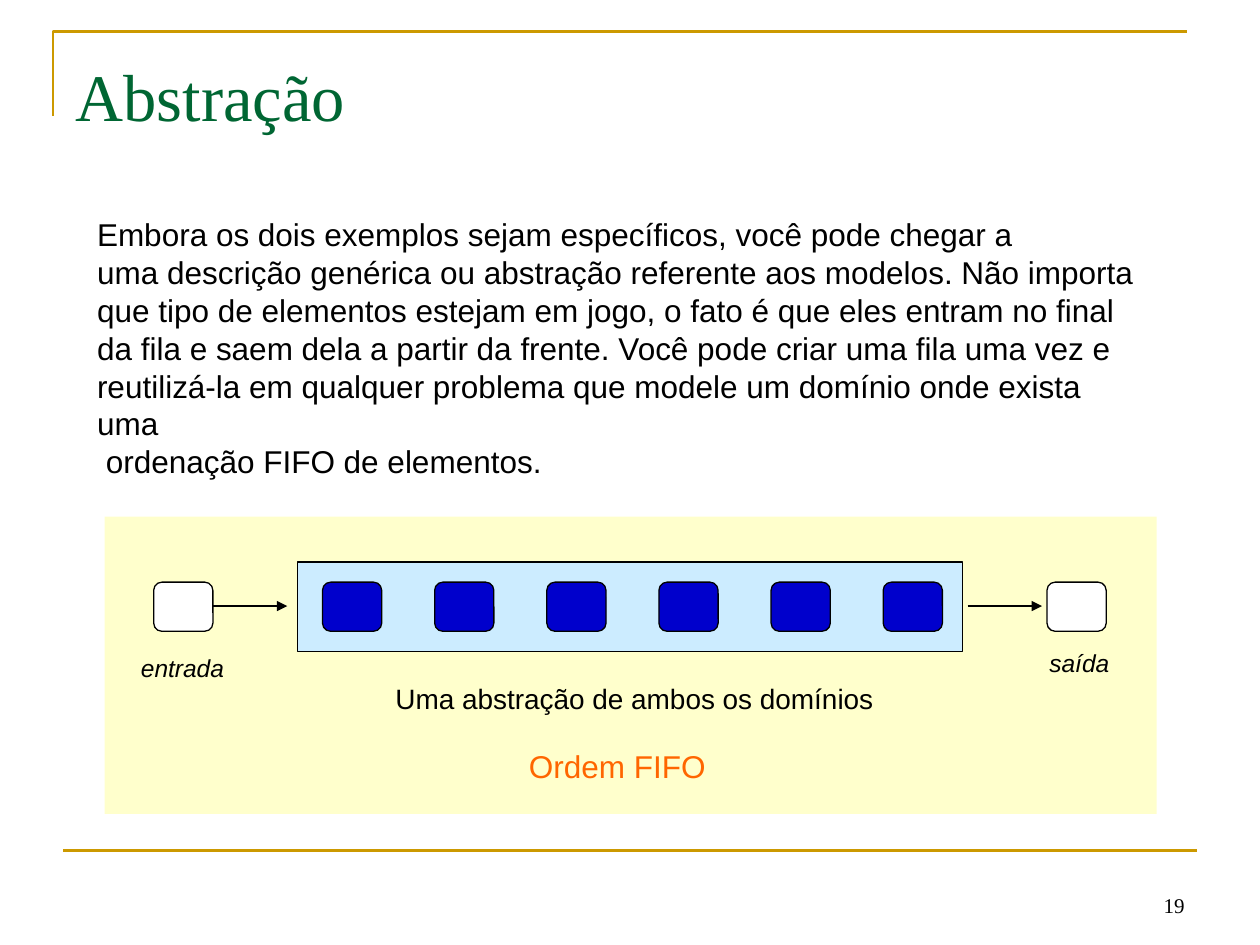
import pptx
import pptx.util
import pptx.dml.color
import pptx.enum.shapes
import pptx.enum.text
import pptx.oxml.ns
import lxml.etree

PX = 9144
HUES = {
    "gold": "CC9900", "green": "006633", "cream": "FFFFCC", "sky": "CCECFF",
    "blue": "0000CC", "white": "FFFFFF", "black": "000000", "orange": "FF6600",
}
SHAPES = pptx.enum.shapes.MSO_SHAPE
ALIGN = pptx.enum.text.PP_ALIGN
ANCHOR = pptx.enum.text.MSO_ANCHOR
BODY = """Embora os dois exemplos sejam específicos, você pode chegar a
uma descrição genérica ou abstração referente aos modelos. Não importa
que tipo de elementos estejam em jogo, o fato é que eles entram no final
da fila e saem dela a partir da frente. Você pode criar uma fila uma vez e
reutilizá-la em qualquer problema que modele um domínio onde exista uma
 ordenação FIFO de elementos."""


def emu(*nums):
    return [pptx.util.Emu(num * PX) for num in nums]


def hue(name):
    return pptx.dml.color.RGBColor.from_string(HUES[name])


def put(item, box):
    item.left, item.top, item.width, item.height = emu(*box)


def write(item, text, size, tint="black", face="Arial", slant=False,
          align=ALIGN.LEFT, anchor=ANCHOR.TOP, wrap=False):
    frame = item.text_frame
    frame.text = text
    frame.auto_size = pptx.enum.text.MSO_AUTO_SIZE.NONE
    frame.word_wrap = wrap
    frame.vertical_anchor = anchor
    for para in frame.paragraphs:
        para.alignment = align
        for run in para.runs:
            run.font.size = pptx.util.Pt(size)
            run.font.name = face
            run.font.italic = slant
            run.font.color.rgb = hue(tint)


def label(slide, box, text, size, **look):
    write(slide.shapes.add_textbox(*emu(*box)), text, size, **look)


def block(slide, kind, box, fill, edge=True):
    item = slide.shapes.add_shape(kind, *emu(*box))
    item.shadow.inherit = False
    item.fill.solid()
    item.fill.fore_color.rgb = hue(fill)
    if edge:
        item.line.color.rgb = hue("black")
        item.line.width = pptx.util.Pt(0.75)
    else:
        item.line.fill.background()


def line(slide, start, end, tint, width, arrow=False):
    straight = pptx.enum.shapes.MSO_CONNECTOR.STRAIGHT
    item = slide.shapes.add_connector(straight, *emu(*start, *end))
    item.line.color.rgb = hue(tint)
    item.line.width = pptx.util.Pt(width)
    if arrow:
        tail = lxml.etree.SubElement(item.line._get_or_add_ln(),
                                     pptx.oxml.ns.qn("a:tailEnd"))
        tail.set("type", "triangle")
    lxml.etree.SubElement(item._element.spPr, pptx.oxml.ns.qn("a:effectLst"))


def trim(slide, box):
    x, y, w, h = box
    path = slide.shapes.build_freeform(x, y + 67, scale=PX)
    path.add_line_segments([(x, y), (x + w, y)], close=False)
    rule = path.convert_to_shape()
    rule.shadow.inherit = False
    rule.fill.background()
    rule.line.color.rgb = hue("gold")
    rule.line.width = pptx.util.Pt(1.5)
    line(slide, (x + 8, y + h), (x + 8 + w, y + h), "gold", 1.5)
    label(slide, (x + w - 225, y + h + 8, 233, 50), "19", 12,
          face="Times New Roman", align=ALIGN.RIGHT, anchor=ANCHOR.BOTTOM)


def head(slide, box):
    title = slide.shapes.title
    put(title, box)
    write(title, "Abstração", 38, tint="green", face="Times New Roman",
          anchor=ANCHOR.MIDDLE, wrap=True)


def prose(slide, box):
    body = slide.placeholders[1]
    put(body, box)
    body.text_frame.text = BODY
    write(body, BODY, 18)
    for para in body.text_frame.paragraphs:
        para.space_before = pptx.util.Pt(0)
        props = para._p.get_or_add_pPr()
        props.set("marL", "0")
        props.set("indent", "0")
        lxml.etree.SubElement(props, pptx.oxml.ns.qn("a:buNone"))


def queue(slide, box):
    x, y, w, h = box
    block(slide, SHAPES.RECTANGLE, box, "cream", edge=False)
    block(slide, SHAPES.RECTANGLE, (x + 153, y + 36, 528, 71), "sky")
    cells = [(x + 173 + 89 * i, "blue") for i in range(6)]
    cells += [(x + 39, "white"), (x + 748, "white")]
    for left, fill in cells:
        block(slide, SHAPES.ROUNDED_RECTANGLE, (left, y + 52, 47, 39), fill)
    for left in (x + 86, x + 685):
        line(slide, (left, y + 71), (left + 59, y + 71), "black", 0.75, True)
    label(slide, (x + 19, y + 103, 86, 34), "entrada", 14, slant=True)
    label(slide, (x + 740, y + 99, 67, 34), "saída", 14, slant=True)
    label(slide, (x + 221, y + 126, 399, 37),
          "Uma abstração de ambos os domínios", 16)
    label(slide, (x + 327, y + 178, 160, 40), "Ordem FIFO", 18, tint="orange")


def main():
    deck = pptx.Presentation()
    deck.slide_width, deck.slide_height = emu(1000, 750)
    slide = deck.slides.add_slide(deck.slide_layouts[1])
    trim(slide, (42, 25, 900, 650))
    head(slide, (50, 30, 296, 90))
    prose(slide, (67, 166, 856, 190))
    queue(slide, (83, 410, 835, 236))
    deck.save("out.pptx")


if __name__ == "__main__":
    main()
